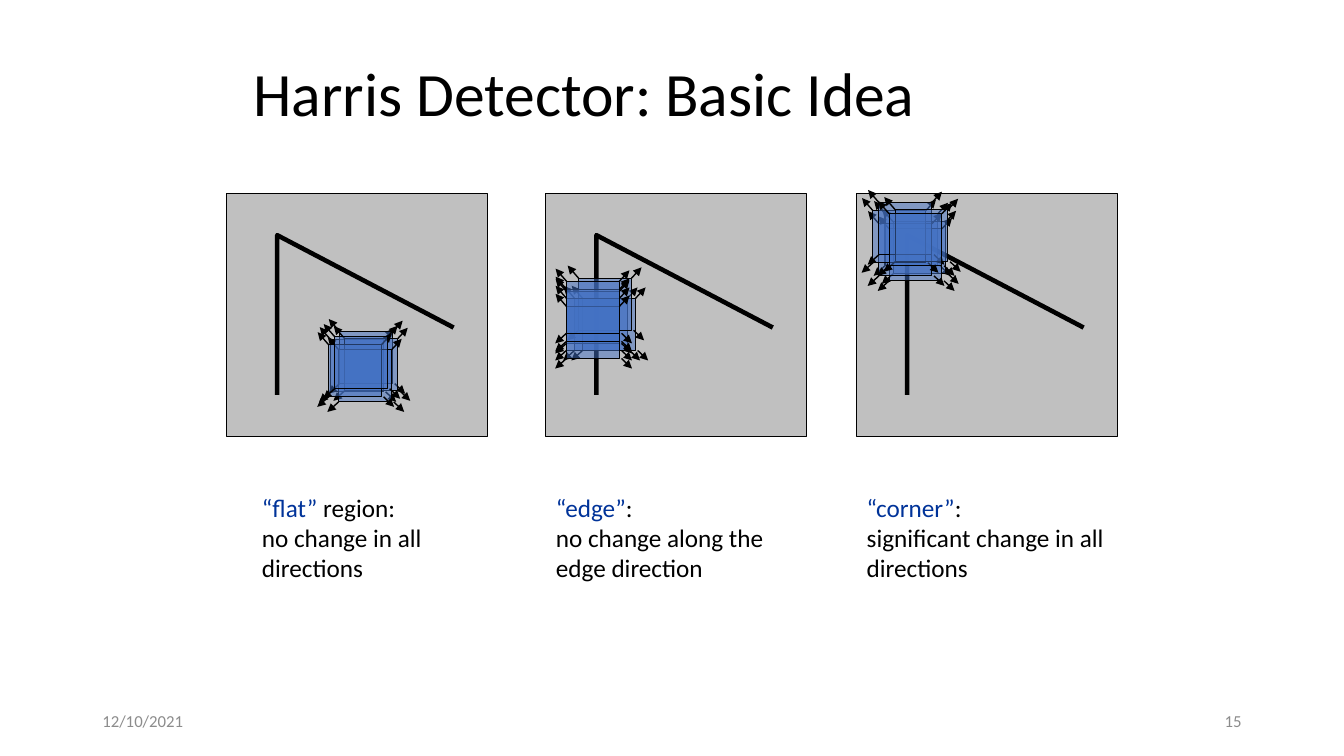
import pptx
import pptx.util
import pptx.dml.color
import pptx.enum.shapes
import pptx.enum.text
import pptx.oxml
import pptx.oxml.ns
import lxml.etree

deck = pptx.Presentation()
deck.slide_width = pptx.util.Inches(13.333)
deck.slide_height = pptx.util.Inches(7.5)
slide = deck.slides.add_slide(deck.slide_layouts[6])
cell = deck.slide_height / 90
RECTANGLE = pptx.enum.shapes.MSO_SHAPE.RECTANGLE
STRAIGHT = pptx.enum.shapes.MSO_CONNECTOR.STRAIGHT
ANCHOR = pptx.enum.text.MSO_ANCHOR
ALIGN = pptx.enum.text.PP_ALIGN


def cells(*counts):
    return [round(count * cell) for count in counts]


def paint(target, colour):
    if hasattr(target, "solid"):
        target.solid()
        target = target.fore_color
    target.rgb = pptx.dml.color.RGBColor.from_string(colour)


panel_top, panel_width, panel_height = 23, 31, 29
window_width, window_height = 6.3, 6.2
shift_arrows = [
    (window_width, 0, 1.2, -1.3),
    (window_width + 0.25, window_height, 1.25, 1.2),
    (0, window_height, -1.35, 1.2),
    (0, 0, -1.3, -1.5),
]
panels = [
    (27, [(12.36, 17.44), (13.44, 16.48), (14.04, 17.32),
          (13.32, 18.64), (12.12, 18.04), (12.84, 17.08)]),
    (65, [(3.4, 12.52), (4.36, 12.52), (3.88, 10.12), (2.44, 11.68),
          (2.44, 12.52), (2.44, 13.48), (2.44, 11.44), (2.44, 10.48)]),
    (102, [(3.36, 2.44), (4.32, 3.4), (3.84, 4.24), (2.64, 3.64),
           (1.92, 2.08), (2.64, 1.12), (4.56, 1.96), (3.84, 2.44)]),
]

for panel_left, windows in panels:
    panel = slide.shapes.add_shape(
        RECTANGLE, *cells(panel_left, panel_top, panel_width, panel_height))
    panel.shadow.inherit = False
    paint(panel.fill, "C0C0C0")
    paint(panel.line.fill, "000000")
    panel.line.width = pptx.util.Pt(0.75)

    corner_x, corner_y = panel_left + 6, panel_top + 5
    outline = slide.shapes.build_freeform(*cells(corner_x, corner_y + 19))
    outline.add_line_segments(
        [cells(corner_x, corner_y), cells(corner_x + 21, corner_y + 11)], close=False)
    contour = outline.convert_to_shape()
    contour.shadow.inherit = False
    contour.fill.background()
    paint(contour.line.fill, "000000")
    contour.line.width = pptx.util.Pt(3.25)

    for across, down in windows:
        left, top = panel_left + across, panel_top + down
        shifted = slide.shapes.add_group_shape()
        window = shifted.shapes.add_shape(
            RECTANGLE, *cells(left, top, window_width, window_height))
        window.shadow.inherit = False
        paint(window.fill, "4472C4")
        tint = window.fill._xPr.find(".//" + pptx.oxml.ns.qn("a:srgbClr"))
        lxml.etree.SubElement(tint, pptx.oxml.ns.qn("a:alpha")).set("val", "50000")
        paint(window.line.fill, "000000")
        window.line.width = pptx.util.Pt(0.75)
        for start_x, start_y, reach_x, reach_y in shift_arrows:
            x, y = left + start_x, top + start_y
            arrow = shifted.shapes.add_connector(
                STRAIGHT, *cells(x, y, x + reach_x, y + reach_y))
            paint(arrow.line.fill, "000000")
            arrow.line.width = pptx.util.Pt(1)
            stroke = arrow.line._get_or_add_ln()
            lxml.etree.SubElement(stroke, pptx.oxml.ns.qn("a:tailEnd")).set("type", "triangle")
            lxml.etree.SubElement(arrow._element.spPr, pptx.oxml.ns.qn("a:effectLst"))

captions = [
    (30, 27, "“flat”", " region:", "no change in all directions"),
    (65, 32, "“edge”", ":", "no change along the edge direction"),
    (102, 32, "“corner”", ":", "significant change in all directions"),
]
for left, width, term, ending, meaning in captions:
    caption = slide.shapes.add_textbox(*cells(left, 58, width, 12.1)).text_frame
    caption.word_wrap = True
    line = caption.paragraphs[0]
    line.font.name = "Calibri"
    line.font.size = pptx.util.Pt(18)
    for words, colour in [(term, "003399"), (ending, "000000"), (meaning, "000000")]:
        if words == meaning:
            line.add_line_break()
        run = line.add_run()
        run.text = words
        paint(run.font.fill, colour)

labels = [
    ("Harris Detector: Basic Idea", (29, 4, 102, 15), 44, "000000", ALIGN.LEFT, 0.9),
    ("12/10/2021", (11, 83.4, 36, 4.8), 12, "8C8C8C", ALIGN.LEFT, 1.0),
    ("15", (113, 83.4, 36, 4.8), 12, "8C8C8C", ALIGN.RIGHT, 1.0),
]
for words, area, size, colour, alignment, spacing in labels:
    label = slide.shapes.add_textbox(*cells(*area)).text_frame
    label.word_wrap = True
    label.vertical_anchor = ANCHOR.MIDDLE
    line = label.paragraphs[0]
    line.text = words
    line.alignment = alignment
    line.line_spacing = spacing
    line.font.name = "Calibri"
    line.font.size = pptx.util.Pt(size)
    paint(line.font.fill, colour)

deck.save("out.pptx")
